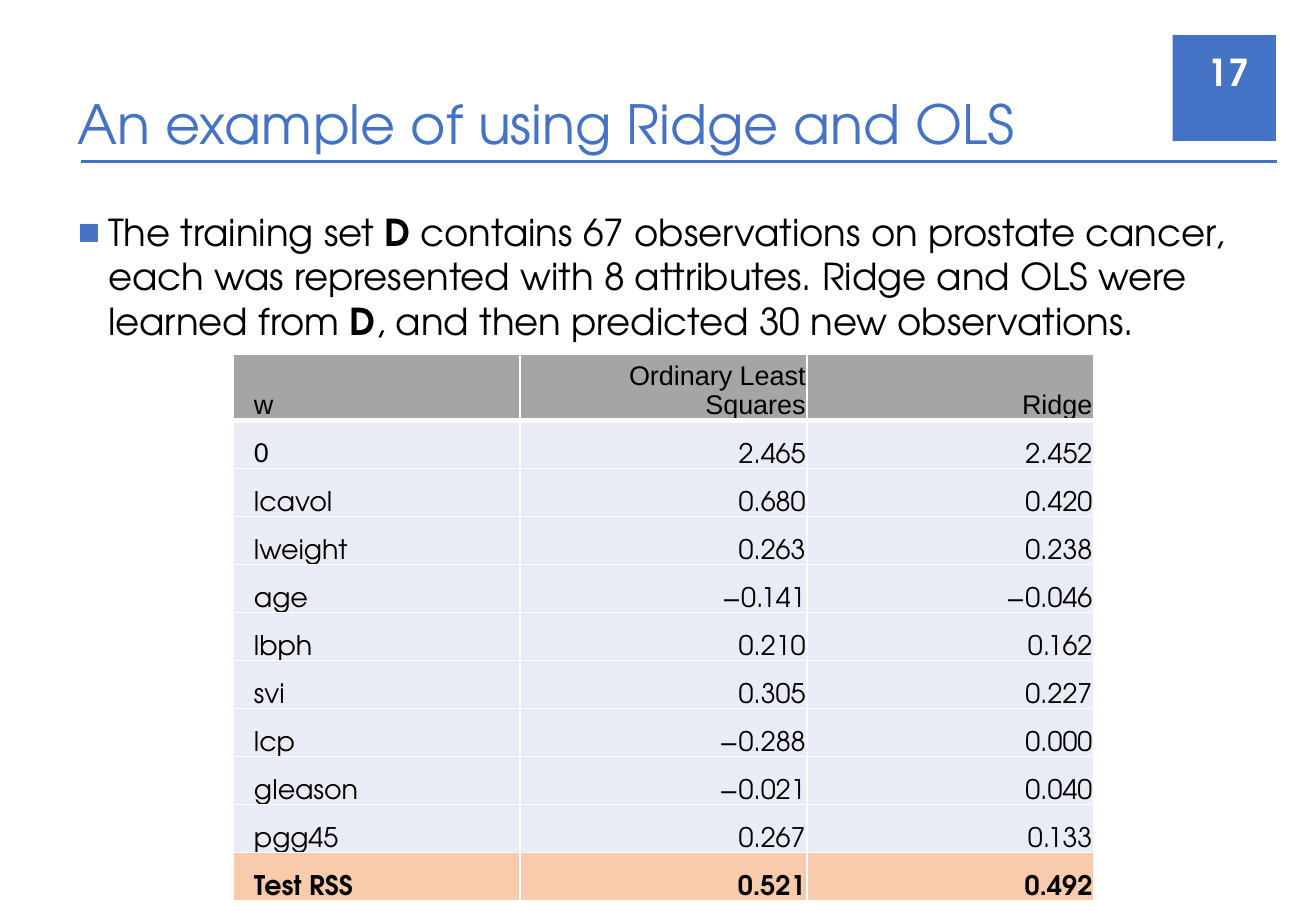
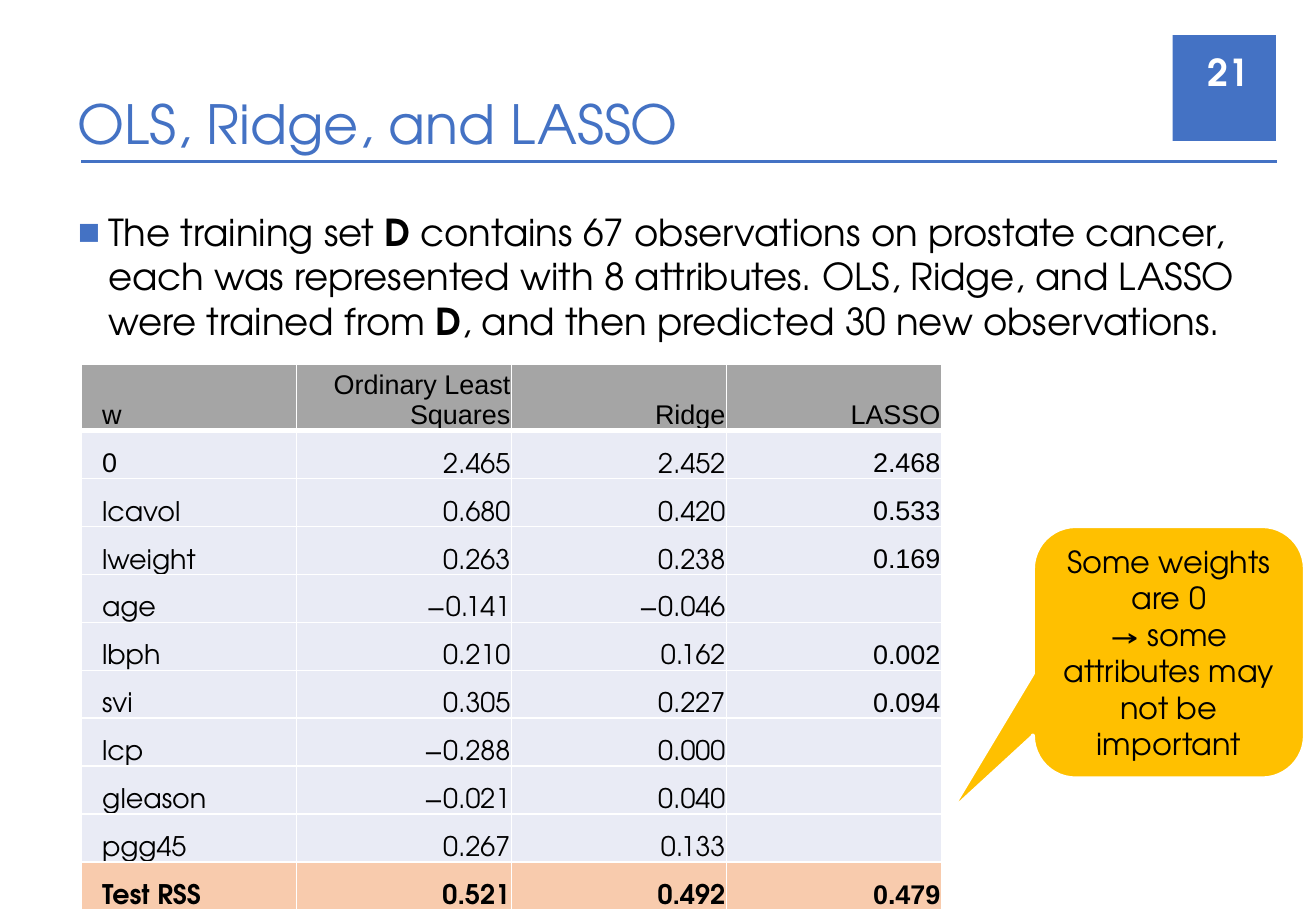
from collections import namedtuple
from dataclasses import dataclass

from lxml.etree import SubElement
from pptx import Presentation
from pptx.dml.color import RGBColor
from pptx.enum.shapes import MSO_CONNECTOR as Connector, MSO_SHAPE as Shape
from pptx.enum.text import MSO_ANCHOR as Anchor, MSO_AUTO_SIZE as AutoSize, PP_ALIGN as Align
from pptx.oxml.ns import qn
from pptx.util import Emu, Pt

PX = 4572
Box = namedtuple("Box", "left top width height")


@dataclass(frozen=True)
class Theme:
    """Colours, fonts and type sizes of the deck."""
    accent: str = "4472C4"
    ink: str = "000000"
    paper: str = "FFFFFF"
    header: str = "A5A5A5"
    row: str = "E9EBF5"
    total: str = "F8CBAD"
    callout: str = "FFC000"
    main_font: str = "TeX Gyre Adventor"
    plain_font: str = "Arial"
    title_size: int = 32
    body_size: int = 22
    callout_size: int = 18
    table_size: int = 16


THEME = Theme()
PAGE = Box(0, 0, 2166, 1500)
TITLE = Box(108, 100, 2004, 166)
BODY = Box(108, 334, 2004, 1006)
BADGE = Box(1930, 58, 170, 174)
RULE = Box(134, 266, 1968, 0)
CALLOUT = Box(1700, 866, 448, 416)
ROW_HEIGHT = 79

HEADERS = ["w", "Ordinary Least Squares", "Ridge"]
WEIGHTS = [
    ["0", "2.465", "2.452"],
    ["lcavol", "0.680", "0.420"],
    ["lweight", "0.263", "0.238"],
    ["age", "−0.141", "−0.046"],
    ["lbph", "0.210", "0.162"],
    ["svi", "0.305", "0.227"],
    ["lcp", "−0.288", "0.000"],
    ["gleason", "−0.021", "0.040"],
    ["pgg45", "0.267", "0.133"],
    ["Test RSS", "0.521", "0.492"],
]
LASSO = ["LASSO", "2.468", "0.533", "0.169", "", "0.002", "0.094", "", "", "", "0.479"]
RIDGE_ROWS = [HEADERS, *WEIGHTS]
LASSO_ROWS = [row + [weight] for row, weight in zip(RIDGE_ROWS, LASSO)]


def px(length):
    """Turn px into EMU."""
    return Emu(length * PX)


def emu(box):
    """Turn a box in px into EMU lengths."""
    return [px(length) for length in box]


def rgb(colour):
    """Turn a hex string into a colour."""
    return RGBColor.from_string(colour)


def write(frame, text, size, colour=THEME.ink, font=THEME.main_font, bold=False,
          align=Align.LEFT, anchor=Anchor.TOP):
    """Fill a frame with one paragraph, where ** toggles bold and a newline breaks the line."""
    frame.word_wrap = True
    frame.vertical_anchor = anchor
    para = frame.paragraphs[0]
    para.alignment = align
    para.space_before = Pt(0)
    for line_index, line in enumerate(text.split("\n")):
        if line_index:
            para.add_line_break()
        for part_index, part in enumerate(line.split("**")):
            span = para.add_run()
            span.text = part
            span.font.size = Pt(size)
            span.font.name = font
            span.font.bold = bold or part_index % 2 == 1
            span.font.color.rgb = rgb(colour)
    return para


def place(holder, box):
    """Move a placeholder to a box and fix its text size."""
    holder.left, holder.top, holder.width, holder.height = emu(box)
    holder.text_frame.auto_size = AutoSize.NONE
    return holder.text_frame


def add_filled(page, kind, box, colour):
    """Add a flat filled shape without an outline."""
    shape = page.shapes.add_shape(kind, *emu(box))
    shape.shadow.inherit = False
    shape.fill.solid()
    shape.fill.fore_color.rgb = rgb(colour)
    shape.line.fill.background()
    return shape


def add_badge(page, box, number):
    """Add the page number on its accent square."""
    add_filled(page, Shape.RECTANGLE, box, THEME.accent)
    label = Box(box.left + 26, box.top + 20, 120, 80)
    frame = page.shapes.add_textbox(*emu(label)).text_frame
    write(frame, number, THEME.body_size, THEME.paper, bold=True,
          align=Align.RIGHT, anchor=Anchor.MIDDLE)


def add_rule(page, box):
    """Add the line under the title."""
    left, top, width, height = emu(box)
    rule = page.shapes.add_connector(Connector.STRAIGHT, left, top, left + width, top + height)
    rule.line.color.rgb = rgb(THEME.accent)
    rule.line.width = Pt(2)
    SubElement(rule._element.spPr, qn("a:effectLst"))


def add_bullet(para, indent):
    """Give a paragraph a hanging square bullet."""
    props = para._p.get_or_add_pPr()
    props.set("marL", str(px(indent)))
    props.set("indent", str(px(-indent)))
    colour = SubElement(props, qn("a:buClr"))
    SubElement(colour, qn("a:srgbClr"), val=THEME.accent)
    SubElement(props, qn("a:buFont"), typeface=THEME.plain_font)
    SubElement(props, qn("a:buChar"), char="■")


def add_page(deck, title, statement, number):
    """Add a page with title, rule, number and one bulleted statement."""
    page = deck.slides.add_slide(deck.slide_layouts[1])
    write(place(page.shapes.title, TITLE), title, THEME.title_size, THEME.accent,
          anchor=Anchor.BOTTOM)
    para = write(place(page.placeholders[1], BODY), statement, THEME.body_size)
    add_bullet(para, 50)
    add_rule(page, RULE)
    add_badge(page, BADGE, number)
    return page


def set_borders(cell, row_index):
    """Draw white cell borders, heavier between header and body."""
    props = cell._tc.get_or_add_tcPr()
    widths = {"lnL": 1, "lnR": 1, "lnT": 3 if row_index == 1 else 1,
              "lnB": 3 if row_index == 0 else 1}
    for side, width in widths.items():
        line = SubElement(props, qn(f"a:{side}"), w=str(Pt(width)))
        fill = SubElement(line, qn("a:solidFill"))
        SubElement(fill, qn("a:srgbClr"), val=THEME.paper)


def add_weights(page, box, rows):
    """Add the table of weights, with header and total rows."""
    table = page.shapes.add_table(len(rows), len(rows[0]), *emu(box)).table
    table.horz_banding = False
    for column in table.columns:
        column.width = px(box.width // len(rows[0]))
    last = len(rows) - 1
    fills = {0: THEME.header, last: THEME.total}
    for row_index, row in enumerate(rows):
        table.rows[row_index].height = px(ROW_HEIGHT)
        for column_index, text in enumerate(row):
            cell = table.cell(row_index, column_index)
            cell.margin_left = cell.margin_right = cell.margin_top = px(2)
            cell.margin_bottom = 0
            cell.vertical_anchor = Anchor.BOTTOM
            set_borders(cell, row_index)
            cell.fill.solid()
            cell.fill.fore_color.rgb = rgb(fills.get(row_index, THEME.row))
            if not text:
                continue
            plain = row_index == 0 or text == "0" or rows[0][column_index] == "LASSO"
            para = write(cell.text_frame, text, THEME.table_size,
                         font=THEME.plain_font if plain else THEME.main_font,
                         bold=row_index == last, anchor=Anchor.BOTTOM,
                         align=Align.RIGHT if column_index else Align.LEFT)
            if column_index == 0:
                para._p.get_or_add_pPr().set("marL", str(px(32)))


def add_callout(page, box, text):
    """Add a speech bubble pointing at the table."""
    bubble = add_filled(page, Shape.ROUNDED_RECTANGULAR_CALLOUT, box, THEME.callout)
    for index, value in enumerate((-0.81, 0.64, 0.17)):
        bubble.adjustments[index] = value
    bubble.line.color.rgb = rgb(THEME.paper)
    bubble.line.width = Pt(2.5)
    write(bubble.text_frame, text, THEME.callout_size, align=Align.CENTER, anchor=Anchor.MIDDLE)


def main():
    """Build and save the deck."""
    deck = Presentation()
    deck.slide_width, deck.slide_height = px(PAGE.width), px(PAGE.height)
    statement = ("The training set **D** contains 67 observations on prostate cancer, each was "
                 "represented with 8 attributes. {} from **D**, and then predicted 30 new "
                 "observations.")
    table_height = ROW_HEIGHT * len(RIDGE_ROWS)

    page = add_page(deck, "An example of using Ridge and OLS",
                    statement.format("Ridge and OLS were learned"), "17")
    add_weights(page, Box(384, 584, 1416, table_height), RIDGE_ROWS)

    page = add_page(deck, "OLS, Ridge, and LASSO",
                    statement.format("OLS, Ridge, and LASSO were trained"), "21")
    add_weights(page, Box(134, 600, 1416, table_height), LASSO_ROWS)
    add_callout(page, CALLOUT, "Some weights are 0\n→ some attributes may not be important")

    deck.save("out.pptx")


if __name__ == "__main__":
    main()
